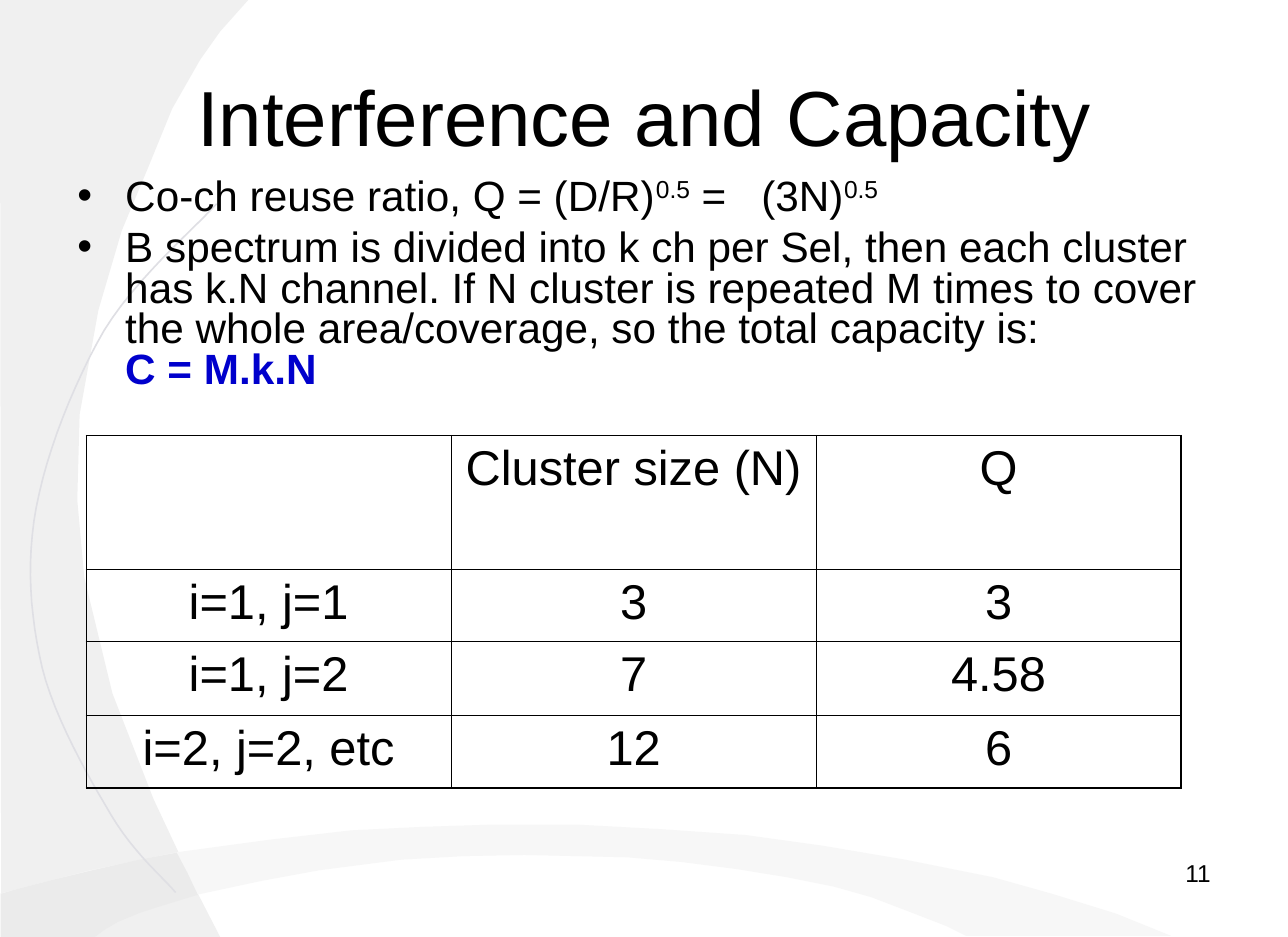
from lxml import etree
from pptx import Presentation, util as u
from pptx.dml.color import RGBColor
from pptx.enum import text
from pptx.oxml.ns import qn

WIDTH, HEIGHT = u.Inches(11), u.Inches(8)
COL, ROW = WIDTH / 100, HEIGHT / 100  # layout grid: 100 columns by 100 rows
FONT = "Arial"
COLORS = {"ink": "000000", "formula": "0000CC", "paper": "FFFFFF", "side": "F0F0F0",
          "wave": "F7F7F7", "overlap": "EBEBEB", "arc": "DFDFE4"}

# Background outlines, in hundredths of an inch
SIDE = [(0, 0), (212, 0), (188, 27), (171, 51), (147, 93), (127, 142), (104, 197),
        (84, 265), (68, 354), (66, 427), (72, 493), (96, 592), (131, 682),
        (169, 763), (188, 800), (1, 800)]
WAVE = [(0, 800), (0, 763), (11, 760), (77, 743), (149, 728), (230, 717), (300, 709),
        (361, 706), (422, 704), (492, 704), (565, 708), (637, 713), (702, 722),
        (773, 734), (848, 749), (898, 763), (953, 780), (1000, 799), (825, 799),
        (809, 791), (778, 779), (744, 766), (712, 757), (672, 749), (629, 742),
        (582, 736), (536, 732), (492, 731), (448, 730), (396, 731), (343, 734),
        (273, 743), (224, 752), (168, 764), (132, 775), (103, 785), (79, 800)]
OVERLAP = [(1, 800), (81, 800), (89, 794), (101, 787), (118, 780), (133, 775),
           (146, 771), (159, 767), (169, 764), (160, 745), (151, 728), (119, 734),
           (79, 743), (46, 751), (15, 759), (1, 763)]
ARC = [(150, 762), (141, 751), (114, 728), (95, 696), (76, 664), (47, 614), (36, 570),
       (26, 526), (22, 481), (31, 433), (40, 385), (64, 325), (89, 282),
       (115, 239), (165, 196), (185, 174)]

TABLE = [["", "Cluster size (N)", "Q"],
         ["i=1, j=1", "3", "3"],
         ["i=1, j=2", "7", "4.58"],
         ["i=2, j=2, etc", "12", "6"]]


def rgb(name):
    return RGBColor.from_string(COLORS[name])


def grid(left, top, width, height):
    return [round(n * unit) for n, unit in
            ((left, COL), (top, ROW), (width, COL), (height, ROW))]


def place(sp, *box):
    sp.left, sp.top, sp.width, sp.height = grid(*box)


def set_frame(tf, anchor):
    tf.word_wrap = True
    tf.auto_size = text.MSO_AUTO_SIZE.NONE
    tf.vertical_anchor = anchor
    tf.margin_left = tf.margin_right = u.Inches(0.11)
    tf.margin_top = tf.margin_bottom = u.Inches(0.05)


def style_run(r, size, color="ink", bold=False):
    r.font.name, r.font.size, r.font.bold = FONT, u.Pt(size), bold
    r.font.color.rgb = rgb(color)


def style_paragraph(p, size, align):
    p.alignment = align
    for r in p.runs:
        style_run(r, size)


def curve(knots, steps=12):
    """Points along joined cubic curves."""
    points = [knots[0]]
    for i in range(0, len(knots) - 1, 3):
        a, b, c, d = knots[i:i + 4]
        for t in (n / steps for n in range(1, steps + 1)):
            v = 1 - t
            points.append(tuple(v**3 * a[k] + 3 * v * v * t * b[k]
                                + 3 * v * t * t * c[k] + t**3 * d[k] for k in (0, 1)))
    return points


def outline(s, points, fill=None, line=None):
    """Background form, placed behind the title."""
    fine = [(x * 10, y * 10) for x, y in points]
    builder = s.shapes.build_freeform(*fine[0], scale=u.Inches(1) / 1000)
    builder.add_line_segments(fine[1:], close=fill is not None)
    sp = builder.convert_to_shape()
    sp.shadow.inherit = False
    if fill:
        sp.fill.solid()
        sp.fill.fore_color.rgb = rgb(fill)
    else:
        sp.fill.background()
    if line:
        sp.line.color.rgb = rgb(line)
        sp.line.width = u.Pt(1)
    else:
        sp.line.fill.background()
    s.shapes.title.element.addprevious(sp.element)


def add_bullet(p, parts):
    """Parts are (text, kind); kind is plain, super or formula."""
    p.line_spacing, p.space_before, p.space_after = 0.8, u.Pt(6.5), u.Pt(0)
    p.alignment = text.PP_ALIGN.LEFT
    pPr = p._p.get_or_add_pPr()
    pPr.set("marL", str(u.Inches(0.41)))
    pPr.set("indent", str(-u.Inches(0.41)))
    etree.SubElement(pPr, qn("a:buFont"), typeface=FONT)
    etree.SubElement(pPr, qn("a:buChar"), char="•")
    for words, kind in parts:
        if kind == "formula":
            p.add_line_break()
        r = p.add_run()
        r.text = words
        style_run(r, 26, "formula" if kind == "formula" else "ink", kind == "formula")
        if kind == "super":
            r._r.get_or_add_rPr().set("baseline", "30000")


def set_borders(cell, widths):
    """Widths in points, in the order left, right, top, bottom."""
    tcPr = cell._tc.get_or_add_tcPr()
    for i, (side, width) in enumerate(zip("LRTB", widths)):
        ln = etree.Element(qn("a:ln" + side), w=str(u.Pt(width)))
        fill = etree.SubElement(ln, qn("a:solidFill"))
        etree.SubElement(fill, qn("a:srgbClr"), val=COLORS["ink"])
        tcPr.insert(i, ln)


def add_table(s, rows, heights, *box):
    last_row, last_col = len(rows) - 1, len(rows[0]) - 1
    table = s.shapes.add_table(len(rows), len(rows[0]), *grid(*box)).table
    table.first_row = table.horz_banding = False
    for i, row in enumerate(rows):
        table.rows[i].height = u.Inches(heights[i])
        for j, words in enumerate(row):
            cell = table.cell(i, j)
            cell.text = words
            cell.margin_left = cell.margin_right = u.Inches(0.11)
            cell.margin_top = cell.margin_bottom = u.Inches(0.05)
            p = cell.text_frame.paragraphs[0]
            p.space_before = u.Pt(7.5)
            style_paragraph(p, 30, text.PP_ALIGN.CENTER)
            cell.fill.background()
            outer = (j == 0, j == last_col, i == 0, i == last_row)
            set_borders(cell, [1.08 if edge else 0.45 for edge in outer])


def main():
    prs = Presentation()
    prs.slide_width, prs.slide_height = WIDTH, HEIGHT
    s = prs.slides.add_slide(prs.slide_layouts[1])
    s.background.fill.solid()
    s.background.fill.fore_color.rgb = rgb("paper")

    # Background
    outline(s, SIDE, fill="side")
    outline(s, WAVE, fill="wave")
    outline(s, OVERLAP, fill="overlap")
    outline(s, curve(ARC), line="arc")

    # Title
    title = s.shapes.title
    place(title, 5, 4, 90, 16.6)
    title.text_frame.text = "Interference and Capacity"
    set_frame(title.text_frame, text.MSO_ANCHOR.MIDDLE)
    style_paragraph(title.text_frame.paragraphs[0], 48, text.PP_ALIGN.CENTER)

    # Bullets
    body = s.placeholders[1]
    place(body, 5, 18.5, 90, 26.5)
    tf = body.text_frame
    set_frame(tf, text.MSO_ANCHOR.TOP)
    add_bullet(tf.paragraphs[0], [("Co-ch reuse ratio, Q = (D/R)", "plain"), ("0.5", "super"),
                                  (" =   (3N)", "plain"), ("0.5", "super")])
    add_bullet(tf.add_paragraph(), [
        ("B spectrum is divided into k ch per Sel, then each cluster has k.N channel. "
         "If N cluster is repeated M times to cover the whole area/coverage, "
         "so the total capacity is:", "plain"),
        ("C = M.k.N", "formula")])

    # Table
    add_table(s, TABLE, [1.14, 0.62, 0.63, 0.62], 6.7, 46.5, 85, 37.75)

    # Page number
    number = s.shapes.add_textbox(*grid(71.6, 91, 23.4, 7))
    number.text_frame.text = "11"
    set_frame(number.text_frame, text.MSO_ANCHOR.TOP)
    style_paragraph(number.text_frame.paragraphs[0], 15, text.PP_ALIGN.RIGHT)

    prs.save("out.pptx")


if __name__ == "__main__":
    main()
